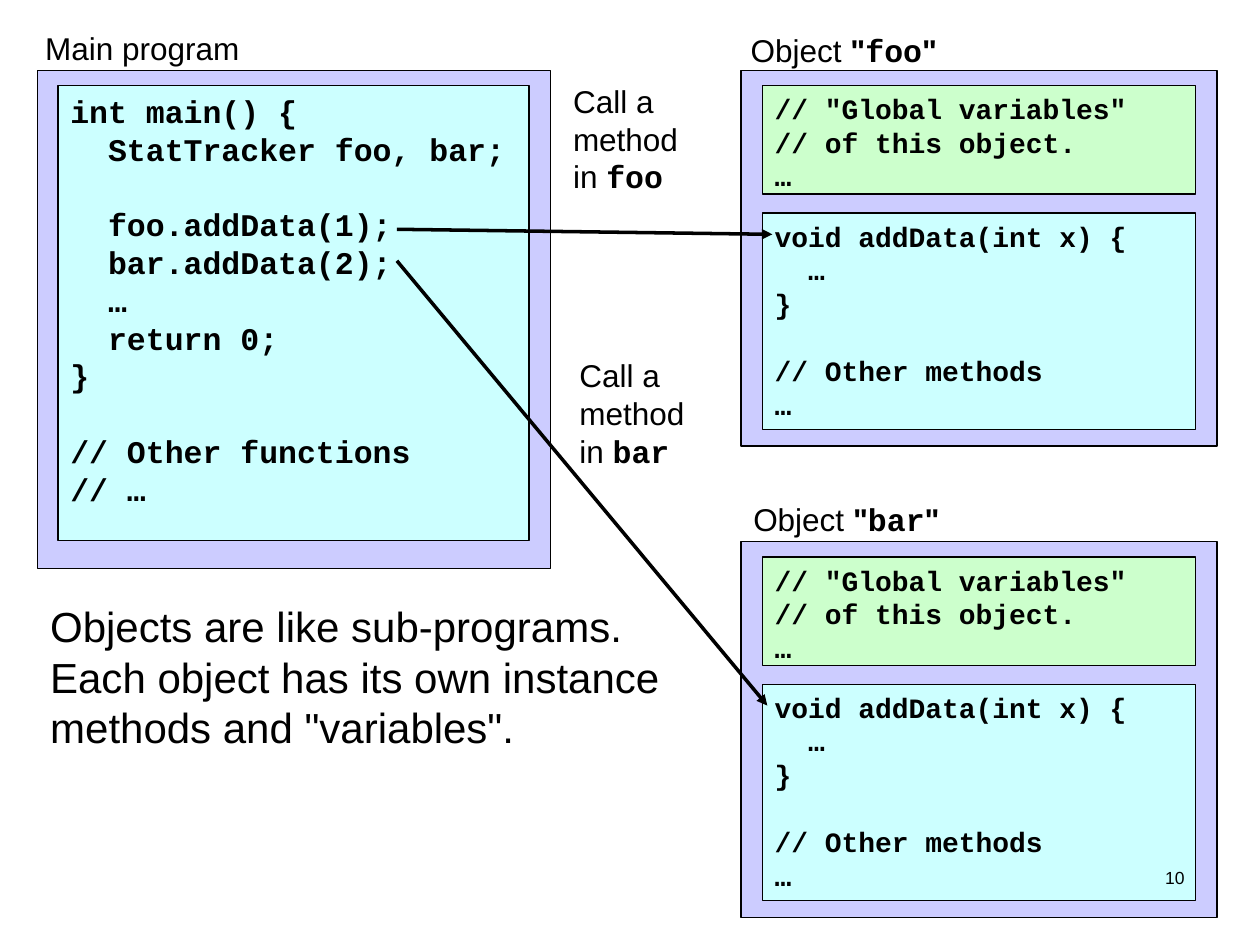
"""Build a slide showing a main program calling methods in two objects."""
from lxml.etree import SubElement
from pptx import Presentation
from pptx.dml.color import RGBColor
from pptx.enum.shapes import MSO_CONNECTOR, MSO_SHAPE
from pptx.enum.text import MSO_ANCHOR, PP_ALIGN
from pptx.oxml.ns import qn
from pptx.util import Inches, Pt

BLACK = RGBColor(0x00, 0x00, 0x00)
LAVENDER = RGBColor(0xCC, 0xCC, 0xFF)
CYAN = RGBColor(0xCC, 0xFF, 0xFF)
GREEN = RGBColor(0xCC, 0xFF, 0xCC)
SANS, MONO = "Arial", "Courier New"
LINE_HEIGHT = 1.2

MAIN_CODE = """int main() {
  StatTracker foo, bar;

  foo.addData(1);
  bar.addData(2);
  …
  return 0;
}

// Other functions
// …"""
VARIABLES_CODE = """// "Global variables"
// of this object.
…"""
METHODS_CODE = """void addData(int x) {
  …
}

// Other methods
…"""

prs = Presentation()
prs.slide_width, prs.slide_height = Inches(10), Inches(7.5)
slide = prs.slides.add_slide(prs.slide_layouts[6])
shapes = slide.shapes


def add_panel(left, top, width, height, color, code="", size=16):
    panel = shapes.add_shape(MSO_SHAPE.RECTANGLE, Inches(left), Inches(top),
                             Inches(width), Inches(height))
    panel.shadow.inherit = False
    panel.fill.solid()
    panel.fill.fore_color.rgb = color
    panel.line.color.rgb = BLACK
    panel.line.width = Pt(0.75)
    if code:
        lines = [[(line, MONO, True)] for line in code.split("\n")]
        write(panel.text_frame, lines, size)


def write(frame, lines, size, wrap=True, align=PP_ALIGN.LEFT):
    frame.word_wrap = wrap
    frame.vertical_anchor = MSO_ANCHOR.TOP
    paragraph, gap = frame.paragraphs[0], 0
    for number, line in enumerate(lines):
        if not line[0][0]:
            gap += LINE_HEIGHT * size
            continue
        if number:
            paragraph = frame.add_paragraph()
        paragraph.alignment = align
        paragraph.line_spacing = Pt(LINE_HEIGHT * size)
        if gap:
            paragraph.space_before = Pt(gap)
            gap = 0
        for text, font, bold in line:
            run = paragraph.add_run()
            run.text = text
            run.font.name = font
            run.font.size = Pt(size)
            run.font.bold = bold
            run.font.color.rgb = BLACK


add_panel(0.3, 0.56, 4.07, 3.95, LAVENDER)
add_panel(0.46, 0.68, 3.74, 3.61, CYAN, MAIN_CODE, 18)

for object_top in (0.56, 4.3):
    add_panel(5.88, object_top, 3.78, 2.98, LAVENDER)
    add_panel(6.05, object_top + 1.13, 3.44, 1.72, CYAN, METHODS_CODE)
    add_panel(6.05, object_top + 0.12, 3.44, 0.86, GREEN, VARIABLES_CODE)

captions = [
    (0.26, 0.18, 1.74, 0.4, 18, False, [[("Main program", SANS, False)]]),
    (0.3, 4.72, 5.04, 2.44, 24, True,
     [[("Objects are like sub-programs. Each object has its own instance "
        'methods and "variables".', SANS, False)]]),
]
for name, label_left, label_top, call_left, call_top in (
        ("foo", 5.86, 0.2, 4.45, 0.6), ("bar", 5.88, 3.92, 4.5, 2.78)):
    captions.append((label_left, label_top, 1.68, 0.4, 18, False,
                     [[("Object", SANS, False), (' "', SANS, True),
                       (name, MONO, True), ('"', SANS, True)]]))
    captions.append((call_left, call_top, 1.26, 1.05, 18, True,
                     [[("Call a", SANS, False)], [("method", SANS, False)],
                      [("in ", SANS, False), (name, MONO, True)]]))

for start_y, end_x, end_y in ((1.82, 6.13, 1.86), (2.07, 6.09, 5.6)):
    call = shapes.add_connector(MSO_CONNECTOR.STRAIGHT, Inches(3.15), Inches(start_y),
                                Inches(end_x), Inches(end_y))
    call.line.color.rgb = BLACK
    call.line.width = Pt(2)
    SubElement(call.line._get_or_add_ln(), qn("a:tailEnd"), type="triangle")
    SubElement(call._element.spPr, qn("a:effectLst"))

for left, top, width, height, size, wrap, lines in captions:
    caption = shapes.add_textbox(Inches(left), Inches(top), Inches(width), Inches(height))
    write(caption.text_frame, lines, size, wrap)

page_number = shapes.add_textbox(Inches(7.17), Inches(6.83), Inches(2.33), Inches(0.5))
write(page_number.text_frame, [[("10", SANS, False)]], 10, align=PP_ALIGN.RIGHT)

prs.save("out.pptx")
